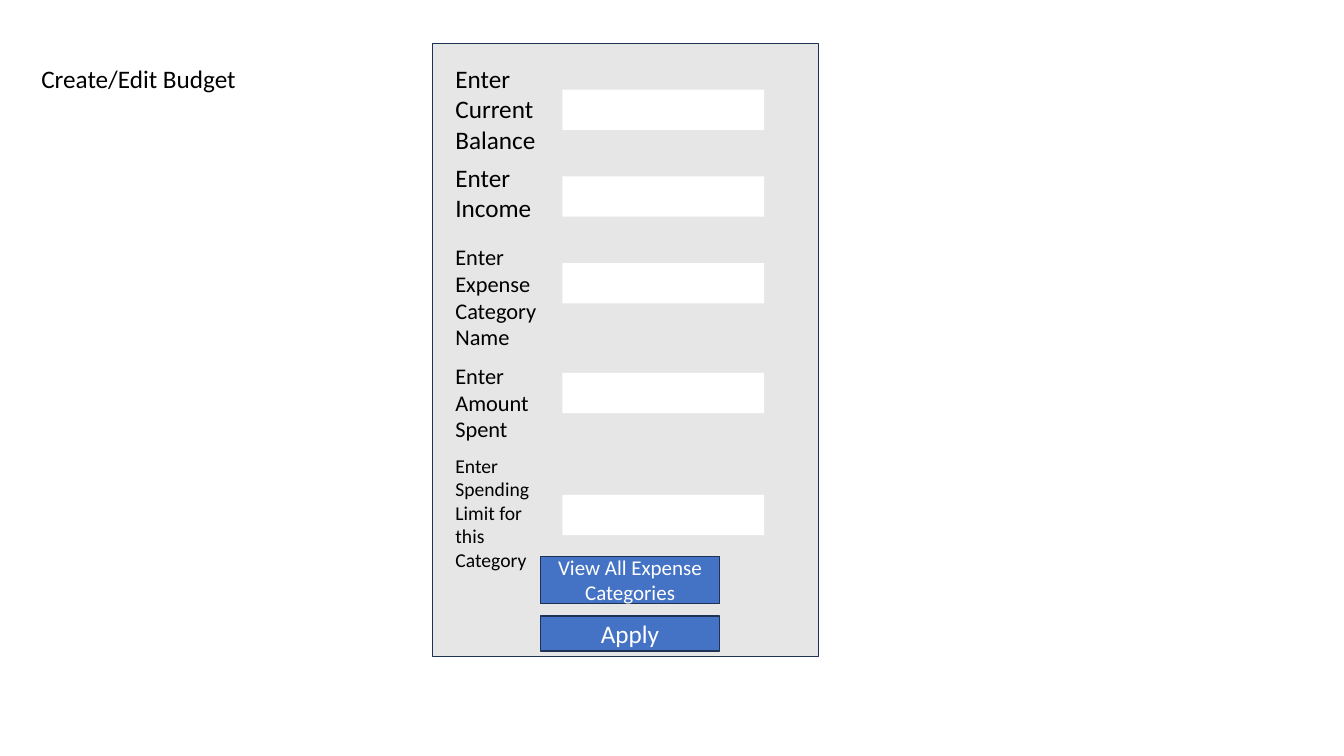
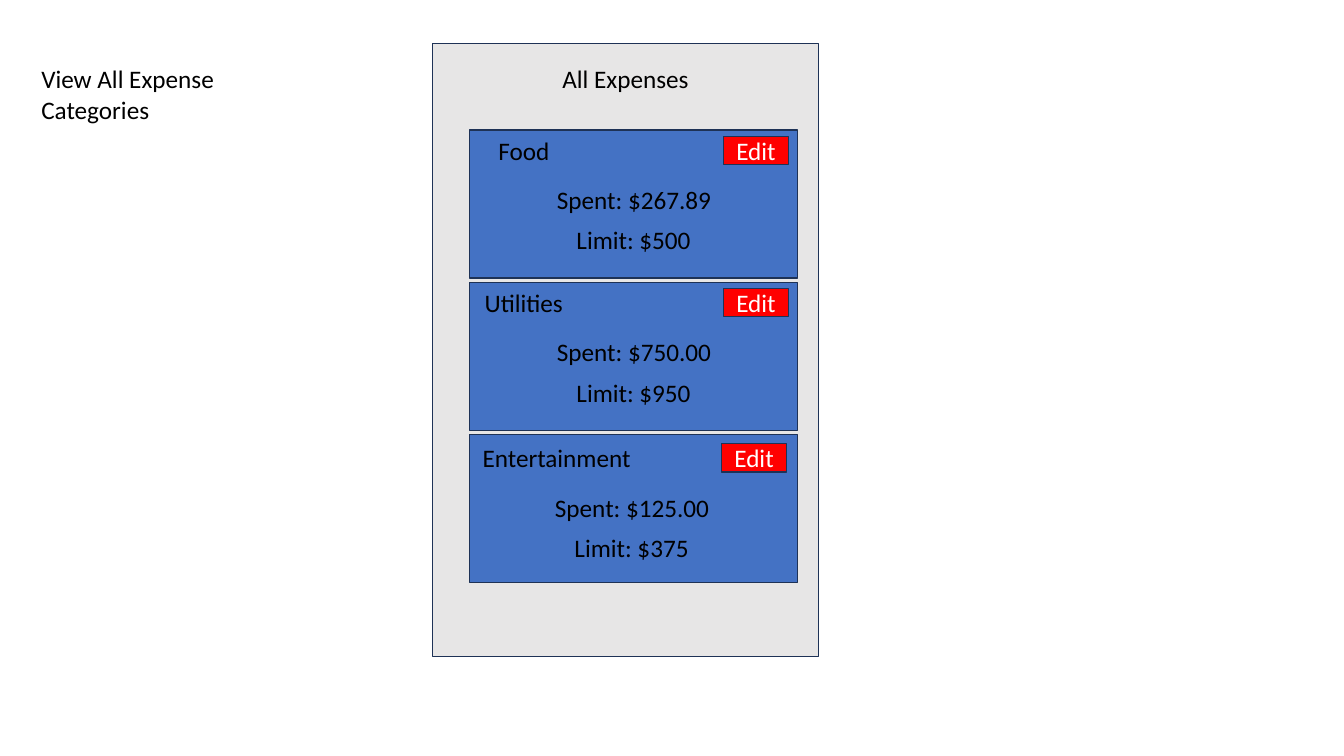
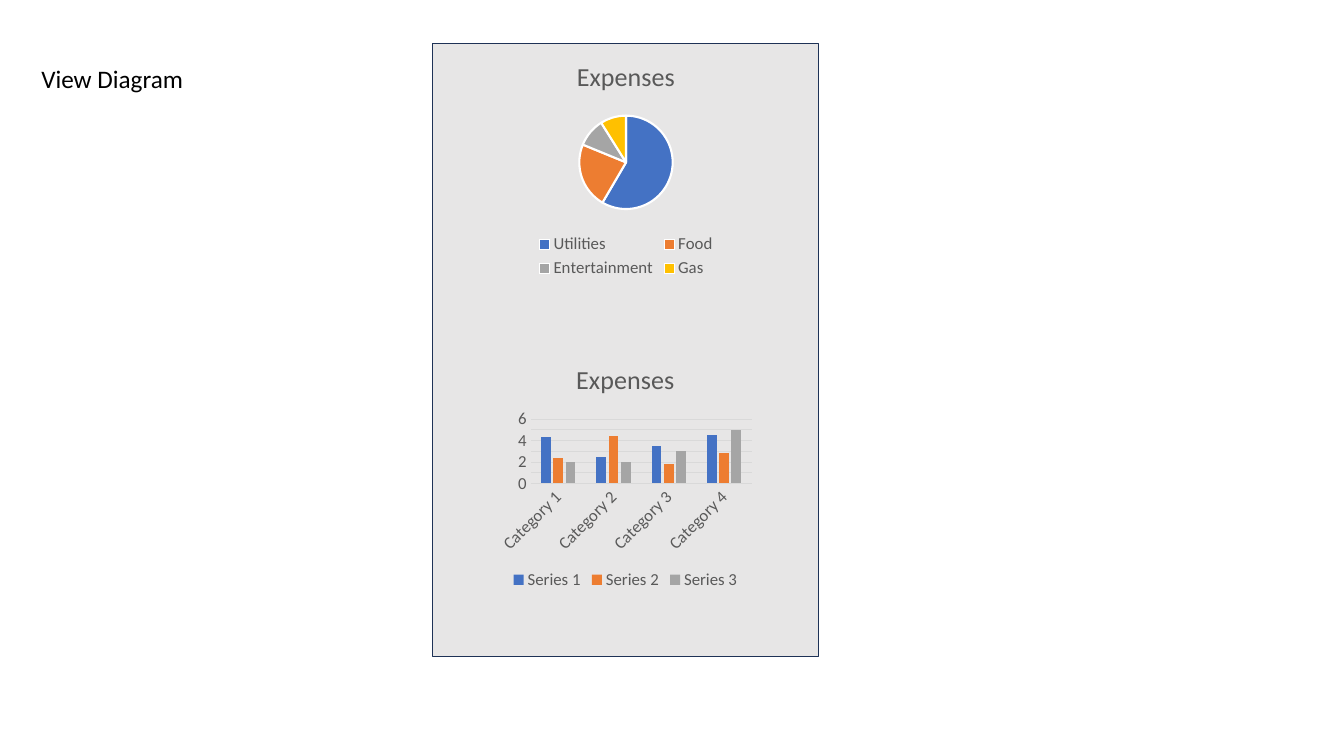
from pptx import Presentation
from pptx.chart.data import CategoryChartData
from pptx.dml.color import RGBColor
from pptx.enum.chart import XL_CHART_TYPE, XL_LEGEND_POSITION, XL_TICK_MARK
from pptx.enum.shapes import MSO_SHAPE
from pptx.enum.text import MSO_ANCHOR, MSO_AUTO_SIZE, PP_ALIGN
from pptx.util import Pt

RECTANGLE = MSO_SHAPE.RECTANGLE
PIE, COLUMNS = XL_CHART_TYPE.PIE, XL_CHART_TYPE.COLUMN_CLUSTERED
BOTTOM, NO_TICK = XL_LEGEND_POSITION.BOTTOM, XL_TICK_MARK.NONE
TOP, MIDDLE = MSO_ANCHOR.TOP, MSO_ANCHOR.MIDDLE
LEFT, CENTER = PP_ALIGN.LEFT, PP_ALIGN.CENTER
TITLE_ONLY = 5

FONT = "Calibri"
COLORS = {
    "black": "000000", "white": "FFFFFF", "panel": "E7E6E6",
    "outline": "1E3256", "blue": "4472C4", "red": "FF0000",
    "orange": "ED7D31", "gray": "A5A5A5", "gold": "FFC000",
    "chart_text": "595959", "grid": "D9D9D9",
}
SERIES_COLORS = ("blue", "orange", "gray", "gold")

# Label, font size, label top, field top
FORM_FIELDS = [
    ("Enter Current Balance", 18, 41.8, 64),
    ("Enter Income", 18, 112.3, 126),
    ("Enter Expense Category Name", 16, 170, 188),
    ("Enter Amount Spent", 16, 254.9, 266.4),
    ("Enter Spending Limit for this Category", 14, 320.4, 353.5),
]
# Name, name width, spent, limit, horizontal and vertical shift of the content
EXPENSES = [
    ("Food", 71.3, "$267.89", "$500", 0, 0),
    ("Utilities", 71.3, "$750.00", "$950", 0, 0),
    ("Entertainment", 121, "$125.00", "$375", -1.4, 2.2),
]
CARD_LEFT, CARD_TOP, CARD_STEP = 335.5, 92.9, 108.7


def color(name):
    return RGBColor.from_string(COLORS[name])


def style_font(font, size, color_name):
    font.name = FONT
    font.size = Pt(size)
    font.color.rgb = color(color_name)


def write(shape, text, size, color_name, align, anchor):
    frame = shape.text_frame
    frame.text = text
    frame.word_wrap = True
    frame.vertical_anchor = anchor
    paragraph = frame.paragraphs[0]
    paragraph.alignment = align
    style_font(paragraph.font, size, color_name)


def add_label(slide, text, left, top, width, height=29, size=18, align=LEFT):
    box = slide.shapes.add_textbox(Pt(left), Pt(top), Pt(width), Pt(height))
    write(box, text, size, "black", align, TOP)


def add_rectangle(slide, left, top, width, height, fill, outlined=True):
    shape = slide.shapes.add_shape(
        RECTANGLE, Pt(left), Pt(top), Pt(width), Pt(height))
    shape.shadow.inherit = False
    shape.fill.solid()
    shape.fill.fore_color.rgb = color(fill)
    if outlined:
        shape.line.color.rgb = color("outline")
        shape.line.width = Pt(1)
    else:
        shape.line.fill.background()
    return shape


def add_button(slide, text, left, top, width, height, fill="blue", size=18):
    button = add_rectangle(slide, left, top, width, height, fill)
    write(button, text, size, "white", CENTER, MIDDLE)


def add_screen(presentation, title_text):
    """Add a slide with its title and the empty gray app screen."""
    slide = presentation.slides.add_slide(
        presentation.slide_layouts[TITLE_ONLY])
    title = slide.shapes.title
    title.left, title.top = Pt(22.3), Pt(41.8)
    title.width, title.height = Pt(160.6), Pt(29)
    write(title, title_text, 18, "black", LEFT, TOP)
    title.text_frame.auto_size = MSO_AUTO_SIZE.SHAPE_TO_FIT_TEXT
    add_rectangle(slide, 308.9, 31, 275.8, 437.8, "panel")
    return slide


def add_expense_card(slide, top, name, name_width, spent, limit, dx, dy):
    add_rectangle(slide, CARD_LEFT, top, 234, 105.8, "blue")
    left, top = CARD_LEFT + dx, top + dy
    add_label(slide, name, left + 3, top, name_width, align=CENTER)
    add_label(slide, f"Spent: {spent}", left + 52.6, top + 35.3, 129.6,
              align=CENTER)
    add_label(slide, f"Limit: {limit}", left + 66.3, top + 64.1, 101.5,
              align=CENTER)
    add_button(slide, "Edit", left + 181.5, top + 4.4, 46.1, 20.2, "red")


def add_expense_chart(slide, kind, left, top, width, height,
                      categories, series):
    data = CategoryChartData()
    data.categories = categories
    for name, values in series:
        data.add_series(name, values)
    chart = slide.shapes.add_chart(
        kind, Pt(left), Pt(top), Pt(width), Pt(height), data).chart
    style_font(chart.font, 10, "black")
    chart.has_title = True
    title = chart.chart_title
    title.include_in_layout = False
    title.text_frame.text = "Expenses"
    title_font = title.text_frame.paragraphs[0].font
    style_font(title_font, 18.6, "chart_text")
    title_font.bold = False
    chart.has_legend = True
    chart.legend.position = BOTTOM
    chart.legend.include_in_layout = False
    style_font(chart.legend.font, 12, "chart_text")
    return chart


def color_slices(chart):
    plot = chart.plots[0]
    plot.vary_by_categories = True
    for index, _ in enumerate(plot.categories):
        slice_format = plot.series[0].points[index].format
        slice_format.fill.solid()
        slice_format.fill.fore_color.rgb = color(SERIES_COLORS[index])
        slice_format.line.color.rgb = color("white")
        slice_format.line.width = Pt(1.5)


def style_columns(chart):
    plot = chart.plots[0]
    plot.vary_by_categories = False
    plot.gap_width, plot.overlap = 219, -27
    for series, color_name in zip(plot.series, SERIES_COLORS):
        series.format.fill.solid()
        series.format.fill.fore_color.rgb = color(color_name)
    for axis in (chart.category_axis, chart.value_axis):
        axis.major_tick_mark = axis.minor_tick_mark = NO_TICK
        style_font(axis.tick_labels.font, 12, "chart_text")
    chart.value_axis.format.line.fill.background()
    chart.value_axis.has_major_gridlines = True
    for line in (chart.category_axis.format.line,
                 chart.value_axis.major_gridlines.format.line):
        line.color.rgb = color("grid")
        line.width = Pt(0.75)


def build_budget_form(presentation):
    slide = add_screen(presentation, "Create/Edit Budget")
    for text, size, label_top, field_top in FORM_FIELDS:
        add_label(slide, text, 318.2, label_top, 73.4, size=size)
        add_rectangle(slide, 401.8, field_top, 144, 28.8, "white",
                      outlined=False)
    add_button(slide, "Apply", 385.9, 439.9, 128.2, 25.2)
    add_button(slide, "View All Expense Categories", 385.9, 397.4, 128.2,
               33.8, size=15)


def build_expense_list(presentation):
    slide = add_screen(presentation, "View All Expense Categories")
    add_label(slide, "All Expenses", 366.5, 41.8, 160.6, align=CENTER)
    for index, expense in enumerate(EXPENSES):
        add_expense_card(slide, CARD_TOP + index * CARD_STEP, *expense)


def build_diagrams(presentation):
    slide = add_screen(presentation, "View Diagram")
    pie = add_expense_chart(
        slide, PIE, 275.8, 31, 342.7, 170.6,
        ["Utilities", "Food", "Entertainment", "Gas"],
        [("Series 1", (59, 23, 10, 9))])
    color_slices(pie)
    columns = add_expense_chart(
        slide, COLUMNS, 352.8, 247, 187.9, 177.1,
        [f"Category {number}" for number in range(1, 5)],
        [("Series 1", (4.3, 2.5, 3.5, 4.5)),
         ("Series 2", (2.4, 4.4, 1.8, 2.8)),
         ("Series 3", (2, 2, 3, 5))])
    style_columns(columns)


def main():
    presentation = Presentation()
    presentation.slide_width, presentation.slide_height = Pt(960), Pt(540)
    build_budget_form(presentation)
    build_expense_list(presentation)
    build_diagrams(presentation)
    presentation.save("out.pptx")


if __name__ == "__main__":
    main()
